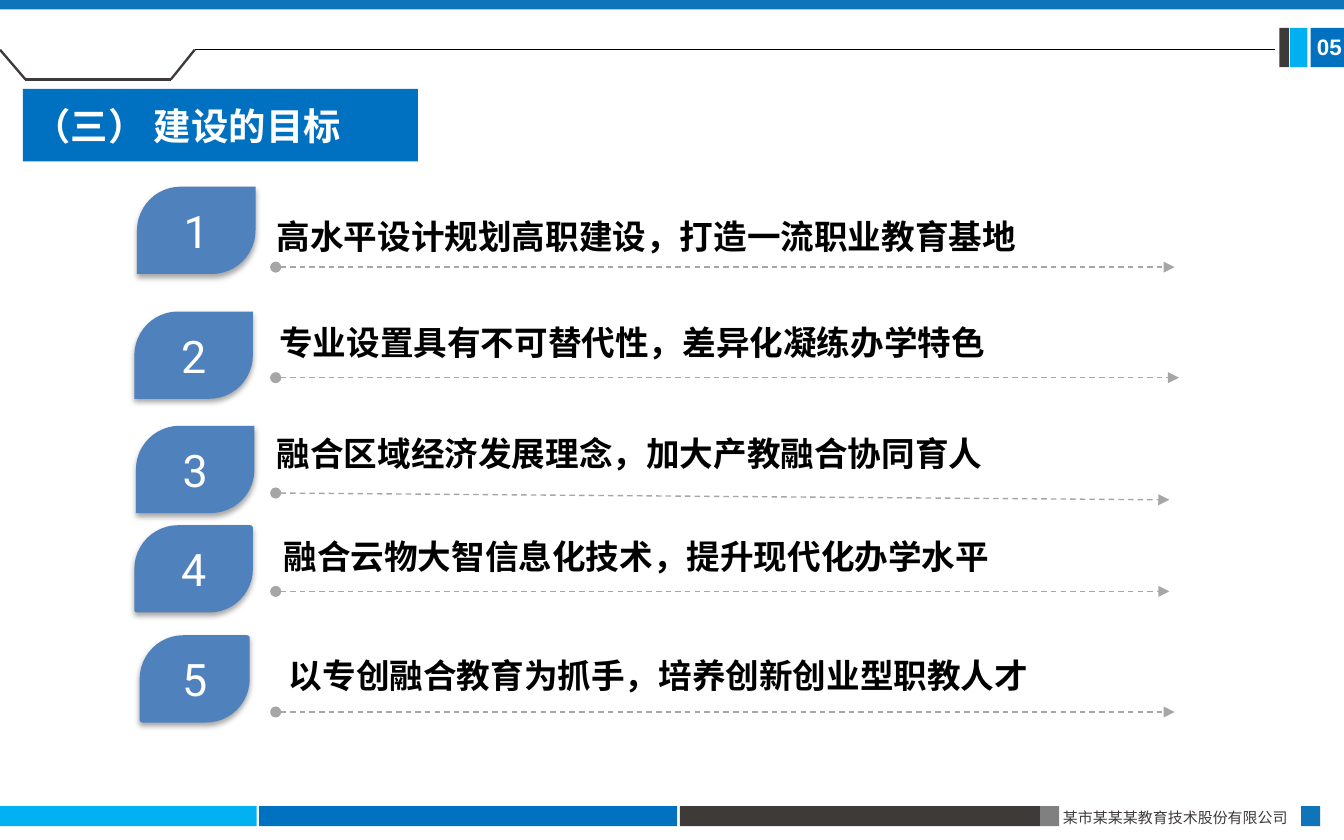
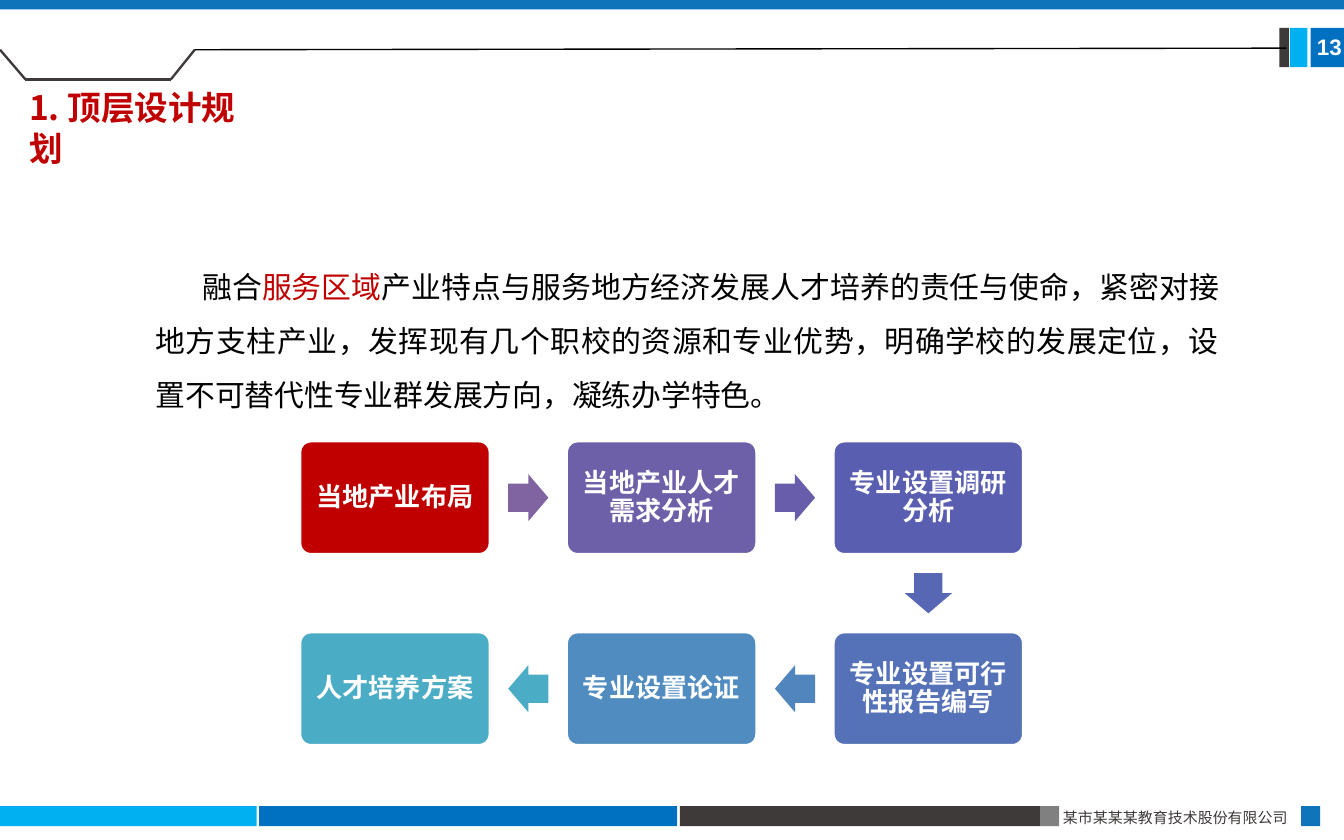
from itertools import pairwise
from math import atan2, degrees

from pptx import Presentation
from pptx.dml.color import RGBColor
from pptx.enum.dml import MSO_LINE
from pptx.enum.shapes import MSO_CONNECTOR, MSO_SHAPE as Preset
from pptx.enum.text import MSO_ANCHOR as Anchor, MSO_AUTO_SIZE, PP_ALIGN as Align
from pptx.oxml import parse_xml
from pptx.oxml.ns import nsdecls, qn
from pptx.util import Cm, Pt
from lxml.etree import SubElement

# ---- Content ----
COMPANY = "某市某某某教育技术股份有限公司"

GOALS_TITLE = "（三） 建设的目标"
# text, text (left, top), leaf (left, top, width, lower corner), arrow (start y, end x, end y)
GOALS = [
    ("高水平设计规划高职建设，打造一流职业教育基地",
     (4.98, 3.94), (2.59, 3.53, 2.24, 0), (5.05, 22.2, 5.05)),
    ("专业设置具有不可替代性，差异化凝练办学特色",
     (5.03, 5.94), (2.54, 5.89, 2.24, 0), (7.14, 22.28, 7.14)),
    ("融合区域经济发展理念，加大产教融合协同育人",
     (4.98, 8.05), (2.57, 8.05, 2.24, 0), (9.32, 22.1, 9.45)),
    ("融合云物大智信息化技术，提升现代化办学水平",
     (5.11, 9.98), (2.54, 9.93, 2.24, 0.03), (11.18, 22.1, 11.18)),
    ("以专创融合教育为抓手，培养创新创业型职教人才",
     (5.21, 12.24), (2.64, 12.01, 2.08, 0.03), (13.46, 22.2, 13.46)),
]

PLAN_TITLE = "1. 顶层设计规划"
PLAN_TEXT = [
    ("融合", "black"),
    ("服务区域", "red"),
    ("产业特点与服务地方经济发展人才培养的责任与使命，紧密对接地方支柱产业，"
     "发挥现有几个职校的资源和专业优势，明确学校的发展定位，"
     "设置不可替代性专业群发展方向，凝练办学特色。", "black"),
]
# paragraphs, (column, row), card colour, colour of the arrow to the next card
STEPS = [
    (["当地产业布局"], (0, 0), "C00000", "8064A2"),
    (["当地产业人才需求分析"], (1, 0), "6E5FA9", "685DAB"),
    (["专业设置调研", "分析"], (2, 0), "5A5EB1", "5767B4"),
    (["专业设置可行性报告编写"], (2, 1), "5572B8", "5185BD"),
    (["专业设置论证"], (1, 1), "508CBF", "4BACC6"),
    (["人才培养方案"], (0, 1), "4BACC6", None),
]


# ---- Theme ----
class Theme:
    colours = {
        "sky": "00B0F0", "blue": "0070C0", "band": "1074BB", "ink": "3E3A39",
        "grey": "808080", "leaf": "4F81BD", "dash": "A6A6A6",
        "red": "C00000", "black": "000000", "white": "FFFFFF",
    }
    cjk = "Noto Sans CJK SC"
    # font values, then the line height in points
    styles = {
        "banner": ({"name": "Calibri", "size": Pt(20), "bold": True}, None),
        "heading": ({"name": cjk, "size": Pt(18), "bold": True}, 22),
        "body": ({"name": cjk, "size": Pt(16), "bold": False}, 29),
        "number": ({"name": "Roboto", "size": Pt(24), "bold": False}, None),
        "card": ({"name": cjk, "size": Pt(14), "bold": True}, 15),
        "page": ({"name": "Arial", "size": Pt(12), "bold": True}, None),
        "footer": ({"name": cjk, "size": Pt(8), "bold": False}, 10),
    }


def colour(name):
    return RGBColor.from_string(Theme.colours.get(name, name))


# ---- Helpers ----
def place(shape, left, top, width, height):
    edges = {"left": left, "top": top, "width": width, "height": height}
    for name, value in edges.items():
        setattr(shape, name, Cm(value))


def add_block(page, box, fill, preset=Preset.RECTANGLE, adjust=(), outline=None):
    block = page.shapes.add_shape(preset, *map(Cm, box))
    block.shadow.inherit = False
    block.fill.solid()
    block.fill.fore_color.rgb = colour(fill)
    if outline:
        block.line.color.rgb = colour(outline)
        block.line.width = Pt(2)
    else:
        block.line.fill.background()
    for index, value in enumerate(adjust):
        block.adjustments[index] = value
    return block


def add_line(page, start, end, tint, width):
    line = page.shapes.add_connector(MSO_CONNECTOR.STRAIGHT, *map(Cm, start + end))
    line.line.color.rgb = colour(tint)
    line.line.width = Pt(width)
    SubElement(line.element.spPr, qn("a:effectLst"))
    return line


def write(shape, paragraphs, style, align=Align.LEFT, anchor=Anchor.TOP,
          insets=(0.25, 0.13, 0.25, 0.13)):
    """Fill a shape with paragraphs, each a list of (text, colour) spans."""
    font_values, line_height = Theme.styles[style]
    frame = shape.text_frame
    frame_values = {"word_wrap": True, "auto_size": MSO_AUTO_SIZE.NONE,
                    "vertical_anchor": anchor}
    sides = ("margin_left", "margin_top", "margin_right", "margin_bottom")
    frame_values.update(zip(sides, map(Cm, insets)))
    for name, value in frame_values.items():
        setattr(frame, name, value)
    for index, spans in enumerate(paragraphs):
        para = frame.add_paragraph() if index else frame.paragraphs[0]
        para.alignment = align
        para.space_before = Pt(0)
        if line_height:
            para.line_spacing = Pt(line_height)
        for text, tint in spans:
            span = para.add_run()
            span.text = text
            for name, value in font_values.items():
                setattr(span.font, name, value)
            span.font.color.rgb = colour(tint)
            SubElement(span._r.get_or_add_rPr(), qn("a:ea"), typeface=Theme.cjk)


def add_text(page, box, text, tint, style, **options):
    label = page.shapes.add_textbox(*map(Cm, box))
    write(label, [[(text, tint)]], style, **options)


# ---- Shared frame ----
NOTCH = [(0, 0.94), (0.48, 1.5), (3.23, 1.5), (3.68, 0.94)]
BARS = [
    ((0, 15.24, 4.85, 0.38), "sky"),
    ((4.9, 15.24, 7.9, 0.38), "blue"),
    ((12.85, 15.24, 6.81, 0.38), "ink"),
    ((19.66, 15.24, 0.36, 0.38), "grey"),
    ((24.59, 15.24, 0.36, 0.38), "band"),
    ((24.77, 0.53, 0.63, 0.74), "blue"),
    ((24.38, 0.53, 0.33, 0.74), "sky"),
    ((24.18, 0.53, 0.18, 0.74), "ink"),
    ((0, 0, 25.4, 0.18), "band"),
]


def build_frame(page):
    """Draw the bands, notch and footer, then hand them to the slide master."""
    before = len(page.shapes)
    for box, fill in BARS:
        add_block(page, box, fill)
    for start, end in pairwise(NOTCH):
        add_line(page, start, end, "ink", 1.25)
    add_text(page, (19.84, 15.14, 4.93, 0.61), COMPANY, "ink", "footer",
             align=Align.JUSTIFY)
    master = page.slide_layout.slide_master
    for shape in list(page.shapes)[before:]:
        master.shapes.element.append(shape.element)


def add_page_marks(page, number, rule_end):
    add_line(page, NOTCH[-1], rule_end, "black", 0.75)
    add_text(page, (24.69, 0.53, 0.71, 0.71), number, "white", "page",
             insets=(0.2, 0.1, 0, 0.1))


# ---- Goals slide ----
def style_goal_leaf(leaf):
    shadow = parse_xml(
        f'<a:outerShdw {nsdecls("a")} blurRad="{Pt(3.1)}" dist="{Pt(1.8)}" '
        'dir="5400000" rotWithShape="0"><a:srgbClr val="000000">'
        '<a:alpha val="35000"/></a:srgbClr></a:outerShdw>')
    leaf.element.spPr.find(qn("a:effectLst")).append(shadow)


def style_goal_arrow(arrow):
    arrow.line.dash_style = MSO_LINE.DASH
    outline = arrow.line._get_or_add_ln()
    SubElement(outline, qn("a:headEnd"), type="oval")
    SubElement(outline, qn("a:tailEnd"), type="triangle")


def build_goals(deck):
    page = deck.slides.add_slide(deck.slide_layouts[5])
    title = page.shapes.title
    place(title, 0.43, 1.68, 7.47, 1.37)
    title.fill.solid()
    title.fill.fore_color.rgb = colour("blue")
    write(title, [[(GOALS_TITLE, "white")]], "banner", anchor=Anchor.MIDDLE,
          insets=(0.2, 0.1, 0.2, 0.1))
    for number, (text, text_at, leaf_at, arrow_at) in enumerate(GOALS, 1):
        left, top, width, corner = leaf_at
        leaf = add_block(page, (left, top, width, 1.65), "leaf",
                         Preset.ROUND_2_DIAG_RECTANGLE, (0.5, corner))
        style_goal_leaf(leaf)
        write(leaf, [[(str(number), "white")]], "number", Align.CENTER, Anchor.MIDDLE)
        start_y, end_x, end_y = arrow_at
        style_goal_arrow(add_line(page, (5.21, start_y), (end_x, end_y), "dash", 0.75))
        add_text(page, (*text_at, 17.5, 1.02), text, "black", "heading")
    add_page_marks(page, "05", (24.1, 0.94))
    return page


# ---- Planning slide ----
CARD_W, CARD_H = 3.61, 2.16
ARROW_W, ARROW_H = 0.76, 0.89


def card_corner(cell):
    column, row = cell
    return 5.66 + column * 5.04, 8.33 + row * 3.61


def add_step_arrow(page, cell, next_cell, fill):
    """Put an arrow midway between two cards, turned towards the second."""
    (x1, y1), (x2, y2) = card_corner(cell), card_corner(next_cell)
    left = (x1 + x2 + CARD_W - ARROW_W) / 2
    top = (y1 + y2 + CARD_H - ARROW_H) / 2
    arrow = add_block(page, (left, top, ARROW_W, ARROW_H), fill,
                      Preset.RIGHT_ARROW, (0.6, 0.5))
    arrow.rotation = degrees(atan2(y2 - y1, x2 - x1))


def build_plan(deck):
    page = deck.slides.add_slide(deck.slide_layouts[1])
    title, body = page.placeholders
    place(title, 0.3, 1.5, 4.7, 1.78)
    write(title, [[(PLAN_TITLE, "red")]], "heading")

    place(body, 2.69, 4.6, 20.62, 3.33)
    layout = body.text_frame.paragraphs[0]._p.get_or_add_pPr()
    layout.set("marL", "0")
    layout.set("indent", str(Cm(0.88)))
    SubElement(layout, qn("a:buNone"))
    write(body, [PLAN_TEXT], "body", Align.JUSTIFY)

    for lines, cell, fill, _ in STEPS:
        card = add_block(page, (*card_corner(cell), CARD_W, CARD_H), fill,
                         Preset.ROUNDED_RECTANGLE, (0.1,), outline="white")
        write(card, [[(line, "white")] for line in lines], "card",
              Align.CENTER, Anchor.MIDDLE, (0.2, 0.2, 0.2, 0.2))
    for step, following in pairwise(STEPS):
        add_step_arrow(page, step[1], following[1], step[3])
    add_page_marks(page, "13", (24.31, 0.91))


def main():
    deck = Presentation()
    deck.slide_width, deck.slide_height = Cm(25.4), Cm(15.88)
    goals_page = build_goals(deck)
    build_plan(deck)
    build_frame(goals_page)
    deck.save("out.pptx")


if __name__ == "__main__":
    main()
